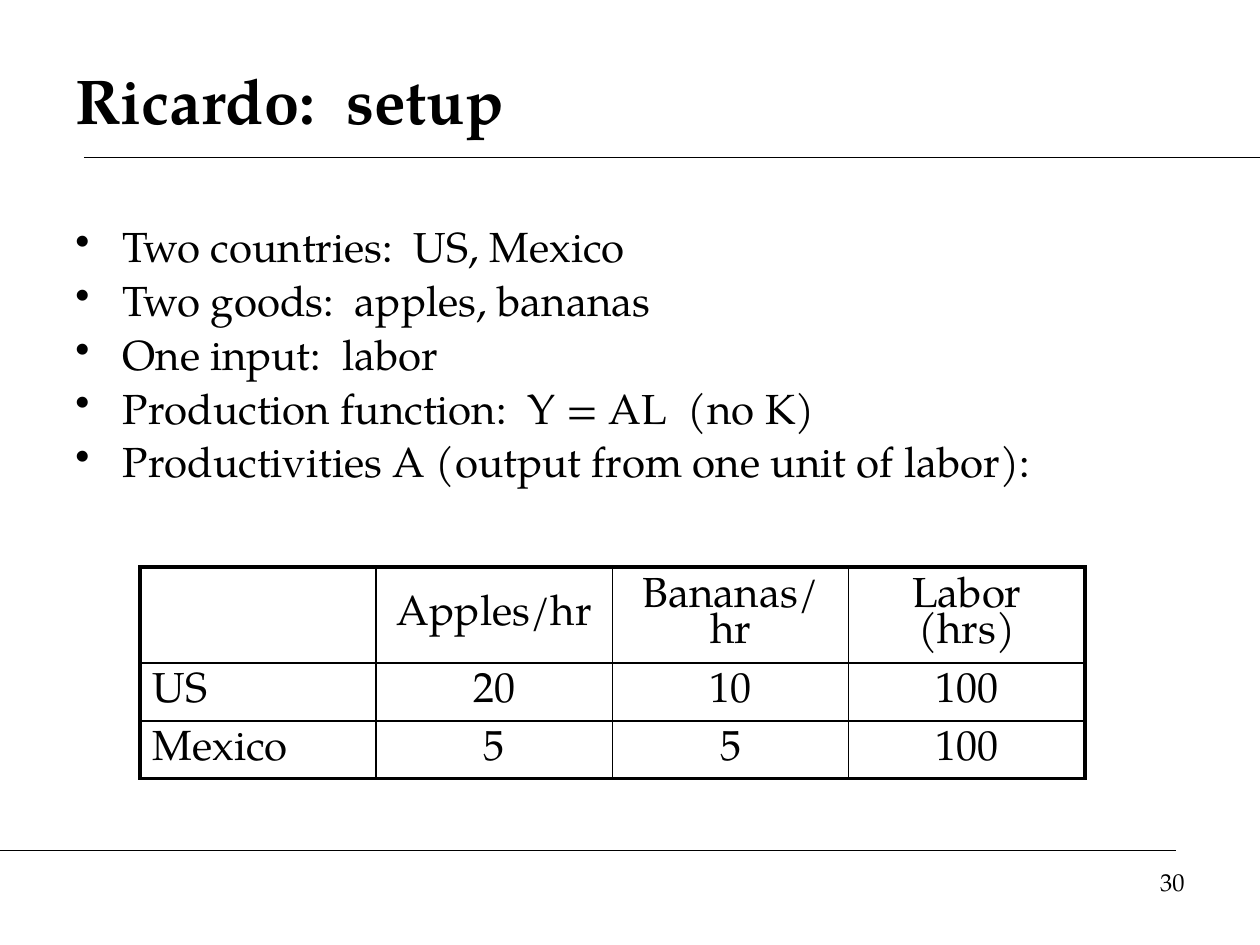
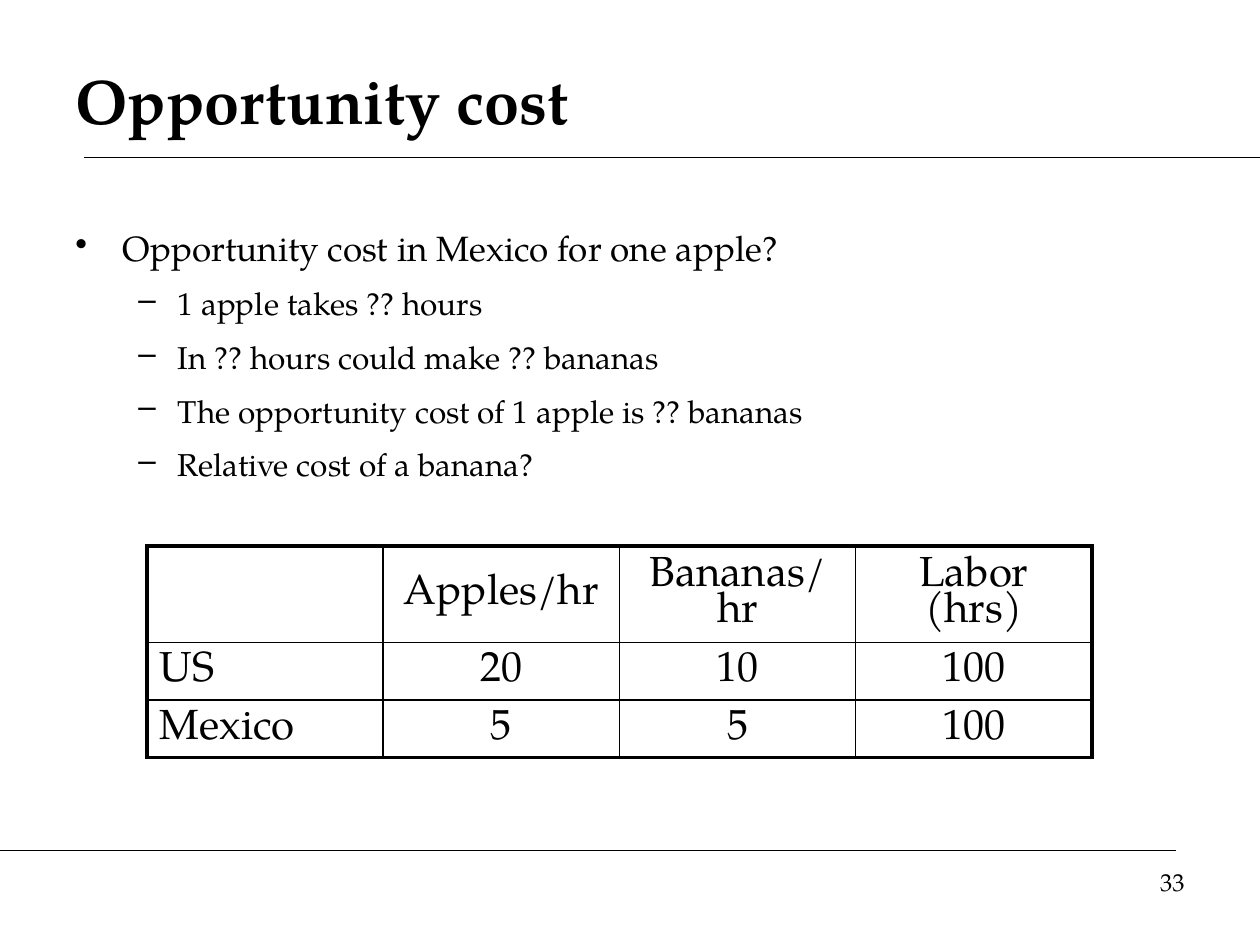
from lxml.etree import SubElement
from pptx import Presentation
from pptx.dml.color import RGBColor
from pptx.enum.shapes import MSO_CONNECTOR as Connector
from pptx.enum.text import MSO_ANCHOR as Anchor, PP_ALIGN as Align
from pptx.oxml.ns import qn
from pptx.util import Pt

COLORS = {"ink": "000000"}
FONT = "TeX Gyre Pagella"

PRODUCTIVITY = [
    ("", "Apples/hr", "Bananas/hr", "Labor (hrs)"),
    ("US", "20", "10", "100"),
    ("Mexico", "5", "5", "100"),
]

# Each bullet is (level, text).
SLIDES = [
    {
        "title": "Ricardo:  setup",
        "number": "30",
        "bullets": [
            (0, "Two countries:  US, Mexico"),
            (0, "Two goods:  apples, bananas"),
            (0, "One input:  labor"),
            (0, "Production function:  Y = AL  (no K)"),
            (0, "Productivities A (output from one unit of labor):"),
        ],
        "sizes": (24,),
        "line_spacing": 0.9,
        "space_ratio": 0.2,
        "body_height": 174,
        "table_at": (80, 324),
    },
    {
        "title": "Opportunity cost",
        "number": "33",
        "bullets": [
            (0, "Opportunity cost in Mexico for one apple?"),
            (1, "1 apple takes ?? hours"),
            (1, "In ?? hours could make ?? bananas"),
            (1, "The opportunity cost of 1 apple is ?? bananas"),
            (1, "Relative cost of a banana?"),
        ],
        "sizes": (20, 18),
        "line_spacing": 1.0,
        "space_ratio": 0.5,
        "body_height": 168,
        "table_at": (84, 312),
    },
]

RULES = [((48, 90), (720, 90)), ((0, 486), (672, 486))]
LEVELS = [("•", 27, -27), ("–", 58.5, -22.5)]  # mark, left margin, indent
COLUMN_WIDTH = 135
ROW_HEIGHTS = (55, 33, 33)
OUTER_BORDER, INNER_BORDER = 2.25, 1


def style(paragraph, size, bold=False, align=Align.LEFT):
    paragraph.alignment = align
    font = paragraph.font
    font.name, font.size, font.bold = FONT, Pt(size), bold
    font.color.rgb = RGBColor.from_string(COLORS["ink"])


def add_text_frame(slide, left, top, width, height, anchor=Anchor.TOP):
    frame = slide.shapes.add_textbox(Pt(left), Pt(top), Pt(width), Pt(height)).text_frame
    frame.word_wrap = True
    frame.vertical_anchor = anchor
    return frame


def add_label(slide, text, box, size, **look):
    anchor = look.pop("anchor", Anchor.TOP)
    paragraph = add_text_frame(slide, *box, anchor).paragraphs[0]
    paragraph.text = text
    style(paragraph, size, **look)


def add_rule(slide, start, end):
    rule = slide.shapes.add_connector(Connector.STRAIGHT, *map(Pt, start + end))
    rule.line.width = Pt(0.75)
    rule.line.color.rgb = RGBColor.from_string(COLORS["ink"])
    SubElement(rule._element.spPr, qn("a:effectLst"))


def add_bullets(slide, content):
    frame = add_text_frame(slide, 36, 126, 648, content["body_height"])
    for i, (level, text) in enumerate(content["bullets"]):
        paragraph = frame.add_paragraph() if i else frame.paragraphs[0]
        size = content["sizes"][level]
        paragraph.text = text
        paragraph.level = level
        paragraph.line_spacing = content["line_spacing"]
        paragraph.space_before = Pt(size * content["space_ratio"])
        style(paragraph, size)
        mark, margin, indent = LEVELS[level]
        properties = paragraph._p.get_or_add_pPr()
        properties.set("marL", str(Pt(margin)))
        properties.set("indent", str(Pt(indent)))
        bullet = properties.makeelement(qn("a:buChar"), {"char": mark})
        properties.find(qn("a:defRPr")).addprevious(bullet)


def set_borders(cell, on_edge):
    """Draw the four borders, heavier on the sides marked in on_edge."""
    properties = cell._tc.get_or_add_tcPr()
    for side, outer in on_edge.items():
        width = Pt(OUTER_BORDER if outer else INNER_BORDER)
        line = SubElement(properties, qn(f"a:ln{side}"), w=str(width))
        fill = SubElement(line, qn("a:solidFill"))
        SubElement(fill, qn("a:srgbClr"), val=COLORS["ink"])


def add_productivity_table(slide, left, top):
    row_count, column_count = len(PRODUCTIVITY), len(PRODUCTIVITY[0])
    table = slide.shapes.add_table(
        row_count, column_count, Pt(left), Pt(top),
        Pt(COLUMN_WIDTH * column_count), Pt(sum(ROW_HEIGHTS))).table
    table.first_row = table.horz_banding = False
    for column in table.columns:
        column.width = Pt(COLUMN_WIDTH)
    for r, (row, height) in enumerate(zip(PRODUCTIVITY, ROW_HEIGHTS)):
        table.rows[r].height = Pt(height)
        for c, text in enumerate(row):
            cell = table.cell(r, c)
            cell.vertical_anchor = Anchor.MIDDLE
            cell.margin_top = cell.margin_bottom = Pt(3)
            set_borders(cell, {"L": c == 0, "R": c == column_count - 1,
                               "T": r == 0, "B": r == row_count - 1})
            cell.fill.background()
            paragraph = cell.text_frame.paragraphs[0]
            paragraph.text = text
            paragraph.line_spacing = 0.85
            style(paragraph, 24, align=Align.CENTER if c else Align.LEFT)


def build_slide(deck, content):
    slide = deck.slides.add_slide(deck.slide_layouts[6])
    for start, end in RULES:
        add_rule(slide, start, end)
    add_label(slide, content["title"], (36, 24, 648, 66), 36,
              bold=True, anchor=Anchor.MIDDLE)
    add_bullets(slide, content)
    add_productivity_table(slide, *content["table_at"])
    add_label(slide, content["number"], (516, 492, 168, 37.5), 14, align=Align.RIGHT)


def main():
    deck = Presentation()
    deck.slide_width, deck.slide_height = Pt(720), Pt(540)
    for content in SLIDES:
        build_slide(deck, content)
    deck.save("out.pptx")


if __name__ == "__main__":
    main()
